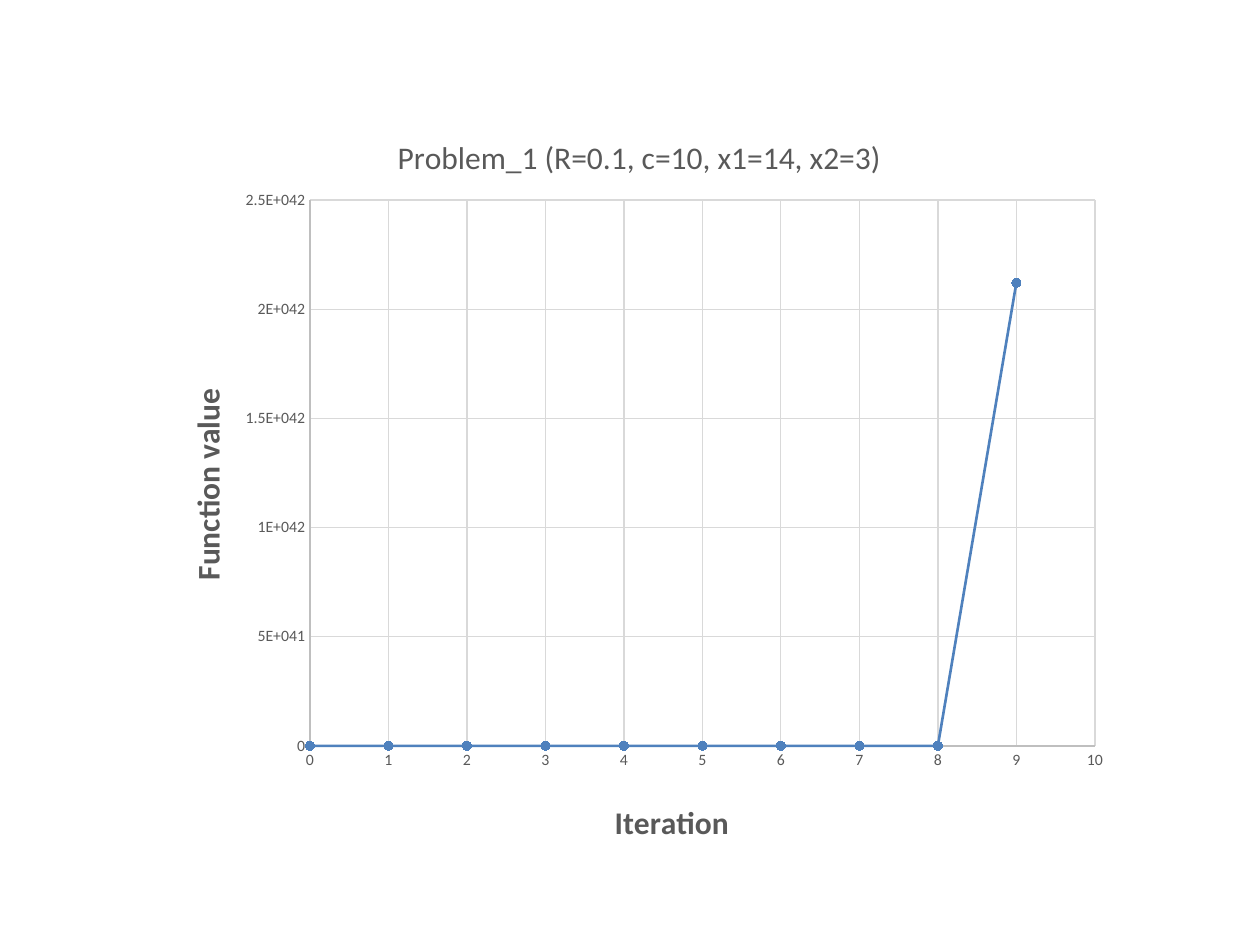
from lxml import etree
from pptx import Presentation
from pptx import util as u
from pptx.chart.data import XyChartData
from pptx.dml.color import RGBColor
from pptx.enum import chart as ch

PX = u.Inches(1) // 126
HUES = {"text": "595959", "axis": "BFBFBF", "grid": "D9D9D9", "line": "4F81BD"}
LEFT, TOP, WIDE, HIGH = 146, 97, 975, 766


def style(font, size, bold=False):
    font.name, font.size, font.bold = "Calibri", u.Pt(size), bold
    font.color.rgb = RGBColor.from_string(HUES["text"])


def place(node, index, x, y, w=None, h=None):
    """Pin a chart part at slide px; index is where its layout belongs."""
    ns = node.nsmap["c"]
    for old in node.findall(f"{{{ns}}}layout"):
        node.remove(old)
    layout = etree.Element(f"{{{ns}}}layout")
    manual = etree.SubElement(layout, f"{{{ns}}}manualLayout")
    items = [("xMode", "edge"), ("yMode", "edge"),
             ("x", round((x - LEFT) / WIDE, 4)), ("y", round((y - TOP) / HIGH, 4))]
    if w:
        items = [("layoutTarget", "inner")] + items
        items += [("w", round(w / WIDE, 4)), ("h", round(h / HIGH, 4))]
    for tag, val in items:
        etree.SubElement(manual, f"{{{ns}}}{tag}").set("val", str(val))
    node.insert(index, layout)


deck = Presentation()
deck.slide_width, deck.slide_height = u.Inches(10), u.Inches(7.5)
slide = deck.slides.add_slide(deck.slide_layouts[6])

data = XyChartData()
points = data.add_series("Series 1")
for step, value in enumerate([0, 0, 0, 0, 0, 0, 6e7, 2.45e9, 0, 2.12e42]):
    points.add_data_point(step, value)

frame = slide.shapes.add_chart(ch.XL_CHART_TYPE.XY_SCATTER_LINES,
                               LEFT * PX, TOP * PX, WIDE * PX, HIGH * PX, data)
chart = frame.chart
style(chart.font, 10)
chart.has_legend = False
chart.plots[0].vary_by_categories = False

# Axes
across, up = chart.category_axis, chart.value_axis
for axis, top, unit in [(across, 10, 1), (up, 2.5e42, 5e41)]:
    axis.minimum_scale, axis.maximum_scale, axis.major_unit = 0, top, unit
    axis.major_tick_mark = axis.minor_tick_mark = ch.XL_TICK_MARK.NONE
    axis.has_major_gridlines = True
    labels = axis.tick_labels
    labels.number_format, labels.number_format_is_linked = "General", False
    style(labels.font, 9)
    for line, hue in [(axis.format.line, "axis"), (axis.major_gridlines.format.line, "grid")]:
        line.width = u.Pt(0.75)
        line.color.rgb = RGBColor.from_string(HUES[hue])

# Titles and plot area
for part, words, bold, x, y in [
    (chart, "Problem_1 (R=0.1, c=10, x1=14, x2=3)", False, 392, 130),
    (across, "Iteration", True, 609, 795),
    (up, "Function value", True, 180, 383),
]:
    title = part.chart_title if part is chart else part.axis_title
    title.text_frame.text = words
    style(title.text_frame.paragraphs[0].font, 18, bold)
    place(title._element, 1, x, y)
place(chart._chartSpace.chart.plotArea, 0, 310, 200, 785, 546)

# Series
series = chart.plots[0].series[0]
series.smooth = False
blue = RGBColor.from_string(HUES["line"])
series.format.line.width = u.Pt(1.5)
series.format.line.color.rgb = blue
mark = series.marker
mark.style, mark.size = ch.XL_MARKER_STYLE.CIRCLE, 5
mark.format.fill.solid()
mark.format.fill.fore_color.rgb = blue
mark.format.line.color.rgb = blue

deck.save("out.pptx")
